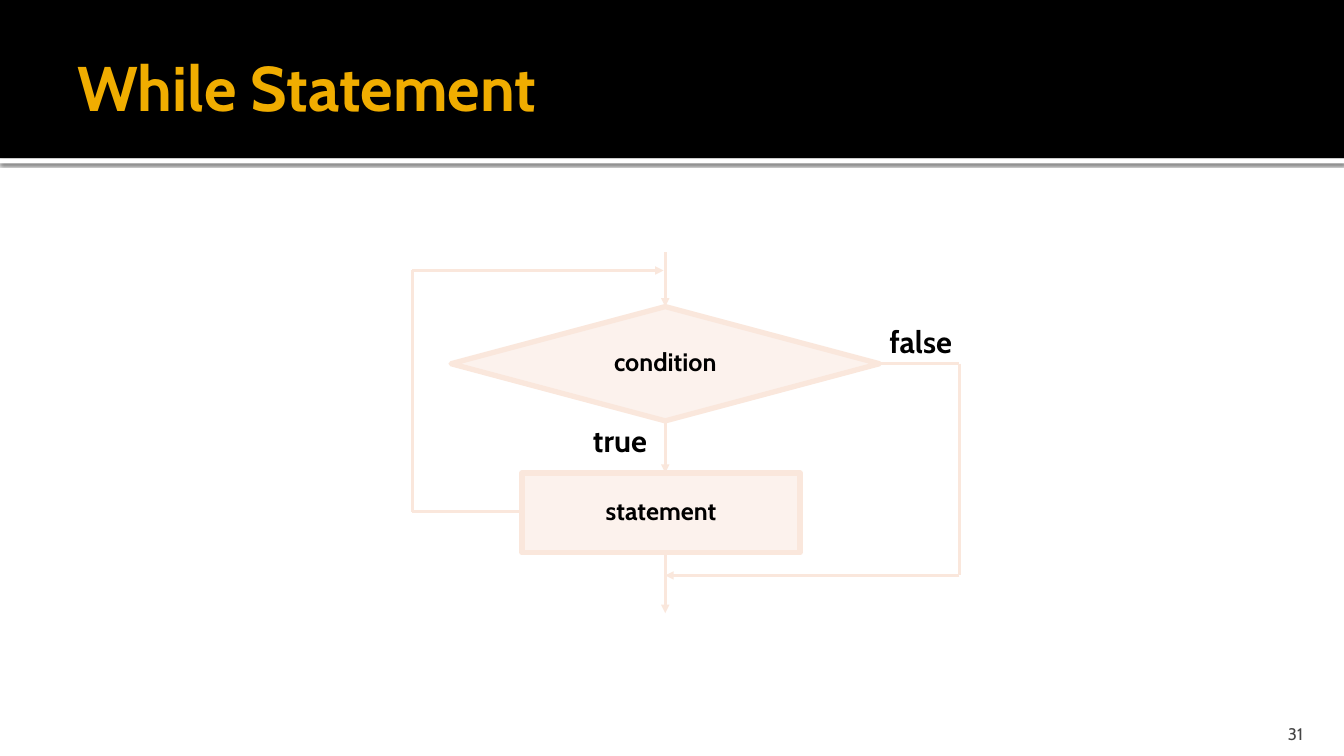
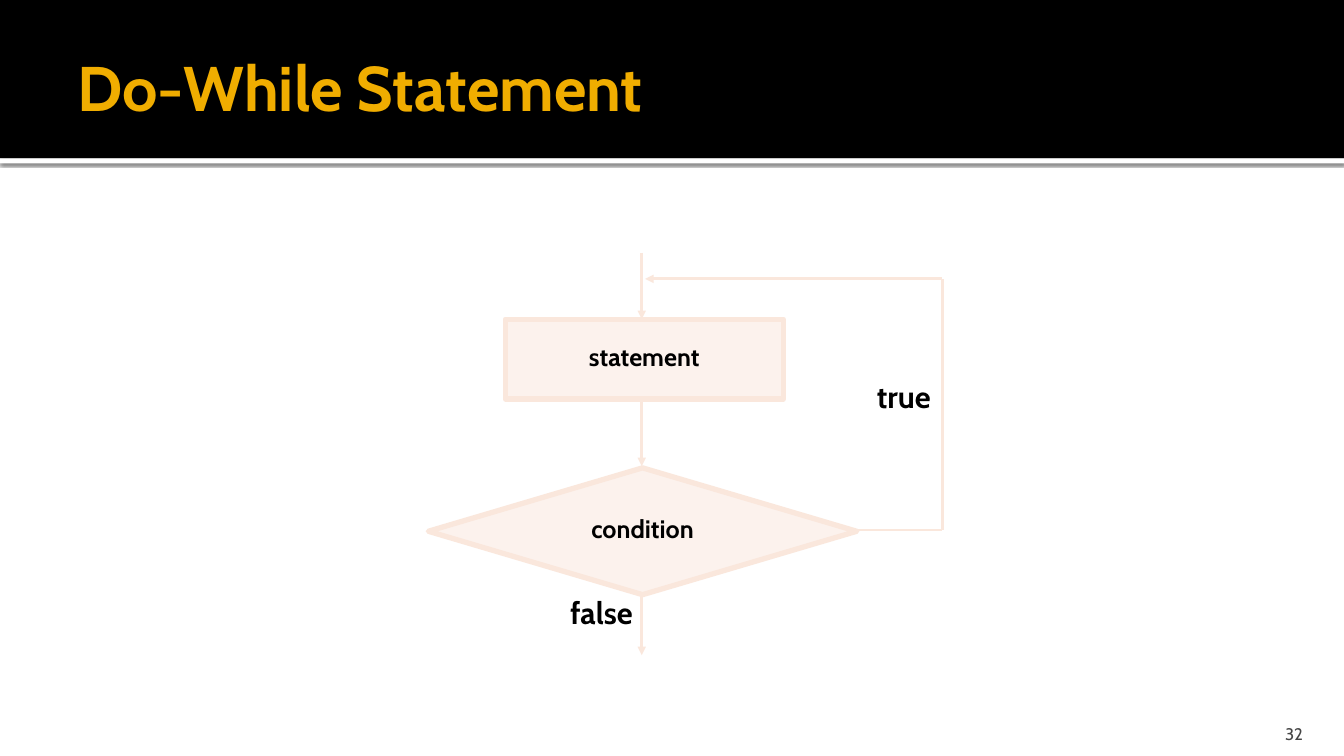
from dataclasses import dataclass
from itertools import pairwise

from lxml.etree import SubElement
from pptx import Presentation
from pptx.dml.color import RGBColor
from pptx.enum.shapes import MSO_CONNECTOR, MSO_SHAPE
from pptx.enum.text import MSO_ANCHOR, MSO_AUTO_SIZE, PP_ALIGN
from pptx.oxml.ns import qn
from pptx.util import Inches, Pt


@dataclass(frozen=True)
class Theme:
    font: str = "Cabin"
    band: str = "000000"
    rule: str = "FFFFFF"
    title: str = "F0AD00"
    ink: str = "000000"
    number: str = "454545"
    flow: str = "FAE7DC"
    title_size: float = 45
    label_size: float = 22
    node_size: float = 18
    number_size: float = 12
    border: float = 3.78
    arrow: float = 2


@dataclass(frozen=True)
class Box:
    col: float
    row: float
    cols: float
    rows: float


@dataclass(frozen=True)
class Node:
    text: str
    outline: MSO_SHAPE
    center: float
    top: float
    cols: float
    rows: float


@dataclass(frozen=True)
class Label:
    text: str
    center: float
    top: float


@dataclass(frozen=True)
class Flowchart:
    title: str
    number: int
    nodes: tuple
    labels: tuple
    routes: tuple


THEME = Theme()
WIDTH, HEIGHT = Inches(13.33), Inches(7.5)
COLUMNS, ROWS = 160, 90
BAND = Box(0, 0, COLUMNS, 18.84)
RULE = Box(0, BAND.rows, COLUMNS, 0.6)
TITLE = Box(8, 2, 110, 16.5)
NUMBER = Box(143.5, 85, 12.8, 3.6)
LABEL_COLS, LABEL_ROWS = 12, 5


def condition(center: float, top: float, rows: float) -> Node:
    return Node("condition", MSO_SHAPE.FLOWCHART_DECISION, center, top, 51, rows)


def statement(center: float, top: float) -> Node:
    return Node("statement", MSO_SHAPE.RECTANGLE, center, top, 33.1, 9.5)


FLOWCHARTS = (
    Flowchart(
        "While Statement", 31,
        (condition(79.2, 36.5, 13.6), statement(78.7, 56.3)),
        (Label("true", 73.8, 50.3), Label("false", 109.6, 38.5)),
        (
            ((79.2, 30), (79.2, 36.5)),
            ((79.2, 50.1), (79.2, 56.3)),
            ((79.2, 65.8), (79.2, 73)),
            ((104.5, 43.3), (114.2, 43.3), (114.2, 68.5), (79.2, 68.5)),
            ((62.2, 60.9), (49.1, 60.9), (49.1, 32.2), (79, 32.2)),
        ),
    ),
    Flowchart(
        "Do-While Statement", 32,
        (statement(76.7, 38), condition(76.5, 55.7, 15.1)),
        (Label("true", 107.6, 45.1), Label("false", 71.6, 70.8)),
        (
            ((76.4, 30.1), (76.4, 38)),
            ((76.4, 47.6), (76.4, 55.5)),
            ((76.4, 70.8), (76.4, 78)),
            ((102, 63.1), (112.2, 63.1), (112.2, 33.2), (76.8, 33.2)),
        ),
    ),
)


def x(col: float) -> int:
    return round(WIDTH * col / COLUMNS)


def y(row: float) -> int:
    return round(HEIGHT * row / ROWS)


def frame_of(box: Box) -> tuple:
    return x(box.col), y(box.row), x(box.cols), y(box.rows)


def write_text(shape, text: str, *, size: float, color: str, bold: bool = False,
               align=PP_ALIGN.CENTER, anchor=MSO_ANCHOR.MIDDLE, spacing: float = 1,
               insets: tuple = (0.1, 0.05, 0.1, 0.05)) -> None:
    frame = shape.text_frame
    frame.word_wrap = True
    frame.auto_size = MSO_AUTO_SIZE.NONE
    frame.vertical_anchor = anchor
    (frame.margin_left, frame.margin_top,
     frame.margin_right, frame.margin_bottom) = map(Inches, insets)
    paragraph = frame.paragraphs[0]
    paragraph.alignment = align
    paragraph.line_spacing = spacing
    run = paragraph.add_run()
    run.text = text
    run.font.name = THEME.font
    run.font.size = Pt(size)
    run.font.bold = bold
    run.font.color.rgb = RGBColor.from_string(color)


def add_filled(slide, outline: MSO_SHAPE, box: Box, color: str):
    shape = slide.shapes.add_shape(outline, *frame_of(box))
    shape.shadow.inherit = False
    shape.fill.solid()
    shape.fill.fore_color.rgb = RGBColor.from_string(color)
    shape.line.fill.background()
    return shape


def add_header(slide, layout) -> None:
    rule = add_filled(slide, MSO_SHAPE.RECTANGLE, RULE, THEME.rule)
    effects = rule.element.spPr.find(qn("a:effectLst"))
    shadow = SubElement(effects, qn("a:outerShdw"), blurRad=str(Pt(2.5)),
                        dist=str(Pt(0.8)), dir="5400000", algn="t", rotWithShape="0")
    shade = SubElement(shadow, qn("a:srgbClr"), val=THEME.band)
    SubElement(shade, qn("a:alpha"), val="60000")
    band = add_filled(slide, MSO_SHAPE.RECTANGLE, BAND, THEME.band)
    for position, part in enumerate((rule, band), start=2):
        layout.shapes.element.insert(position, part.element)


def add_node(slide, node: Node) -> None:
    box = Box(node.center - node.cols / 2, node.top, node.cols, node.rows)
    shape = add_filled(slide, node.outline, box, THEME.flow)
    tint = shape.element.spPr.find(qn("a:solidFill")).find(qn("a:srgbClr"))
    SubElement(tint, qn("a:alpha"), val="50000")
    shape.line.color.rgb = RGBColor.from_string(THEME.flow)
    shape.line.width = Pt(THEME.border)
    write_text(shape, node.text, size=THEME.node_size, color=THEME.ink,
               bold=True, spacing=0.85)


def add_label(slide, label: Label) -> None:
    box = Box(label.center - LABEL_COLS / 2, label.top, LABEL_COLS, LABEL_ROWS)
    write_text(slide.shapes.add_textbox(*frame_of(box)), label.text,
               size=THEME.label_size, color=THEME.ink, bold=True,
               anchor=MSO_ANCHOR.TOP, spacing=0.85)


def add_route(slide, stops: tuple) -> None:
    for start, end in pairwise(stops):
        segment = slide.shapes.add_connector(
            MSO_CONNECTOR.STRAIGHT, x(start[0]), y(start[1]), x(end[0]), y(end[1]))
        segment.line.color.rgb = RGBColor.from_string(THEME.flow)
        segment.line.width = Pt(THEME.arrow)
        properties = segment.element.spPr
        SubElement(properties, qn("a:effectLst"))
        if end == stops[-1]:
            SubElement(properties.find(qn("a:ln")), qn("a:tailEnd"), type="triangle")


def add_flowchart(slide, chart: Flowchart) -> None:
    title = slide.shapes.title
    title.left, title.top, title.width, title.height = frame_of(TITLE)
    write_text(title, chart.title, size=THEME.title_size, color=THEME.title,
               bold=True, align=PP_ALIGN.LEFT, insets=(0.1, 0.05, 0.05, 0.05))
    write_text(slide.shapes.add_textbox(*frame_of(NUMBER)), str(chart.number),
               size=THEME.number_size, color=THEME.number, align=PP_ALIGN.RIGHT,
               anchor=MSO_ANCHOR.BOTTOM, insets=(0.1, 0.05, 0.1, 0))
    for label in chart.labels:
        add_label(slide, label)
    for node in chart.nodes:
        add_node(slide, node)
    for stops in chart.routes:
        add_route(slide, stops)


def main() -> None:
    deck = Presentation()
    deck.slide_width, deck.slide_height = WIDTH, HEIGHT
    layout = deck.slide_layouts.get_by_name("Title Only")
    slides = [deck.slides.add_slide(layout) for _ in FLOWCHARTS]
    add_header(slides[0], layout)
    for slide, chart in zip(slides, FLOWCHARTS):
        add_flowchart(slide, chart)
    deck.save("out.pptx")


if __name__ == "__main__":
    main()
